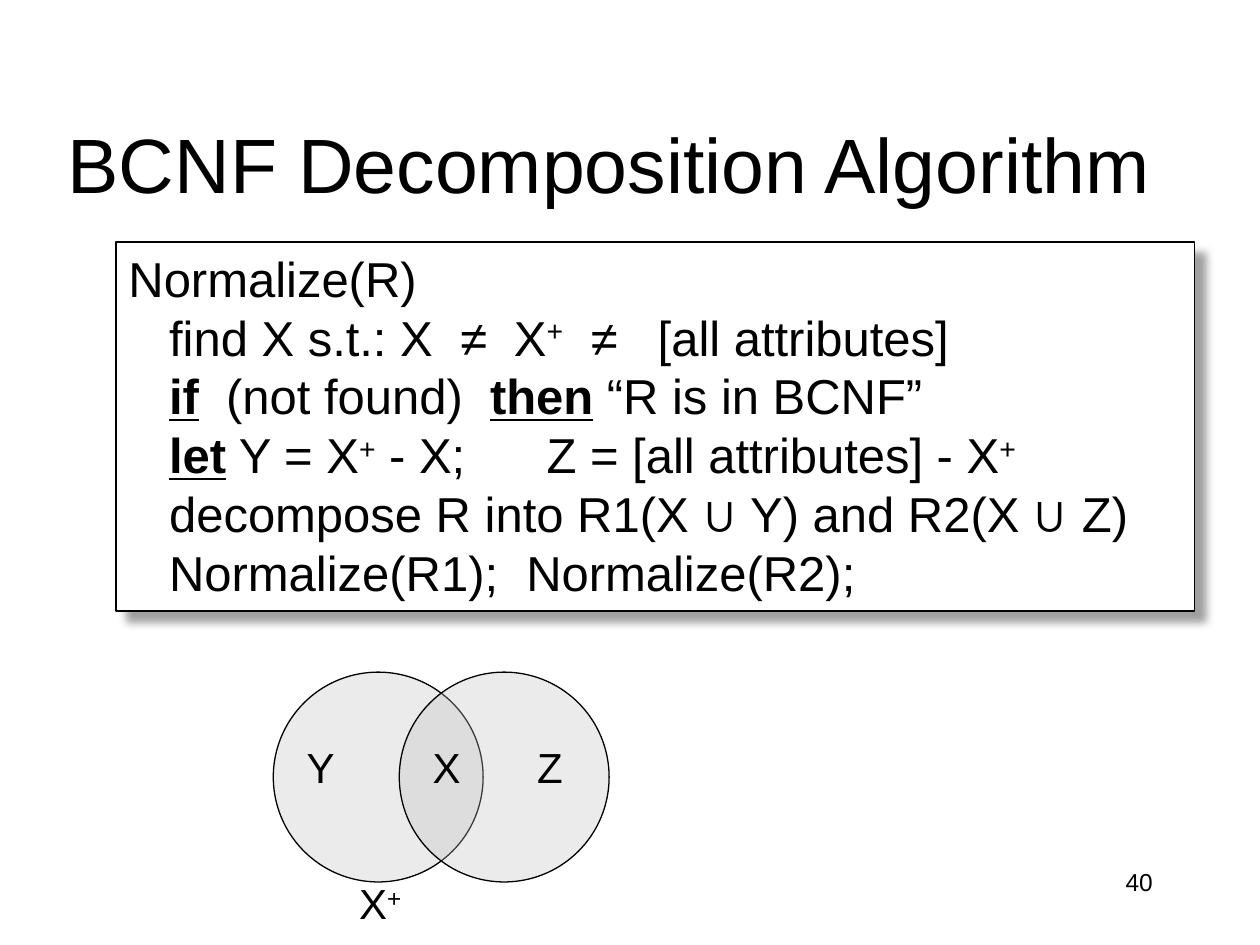
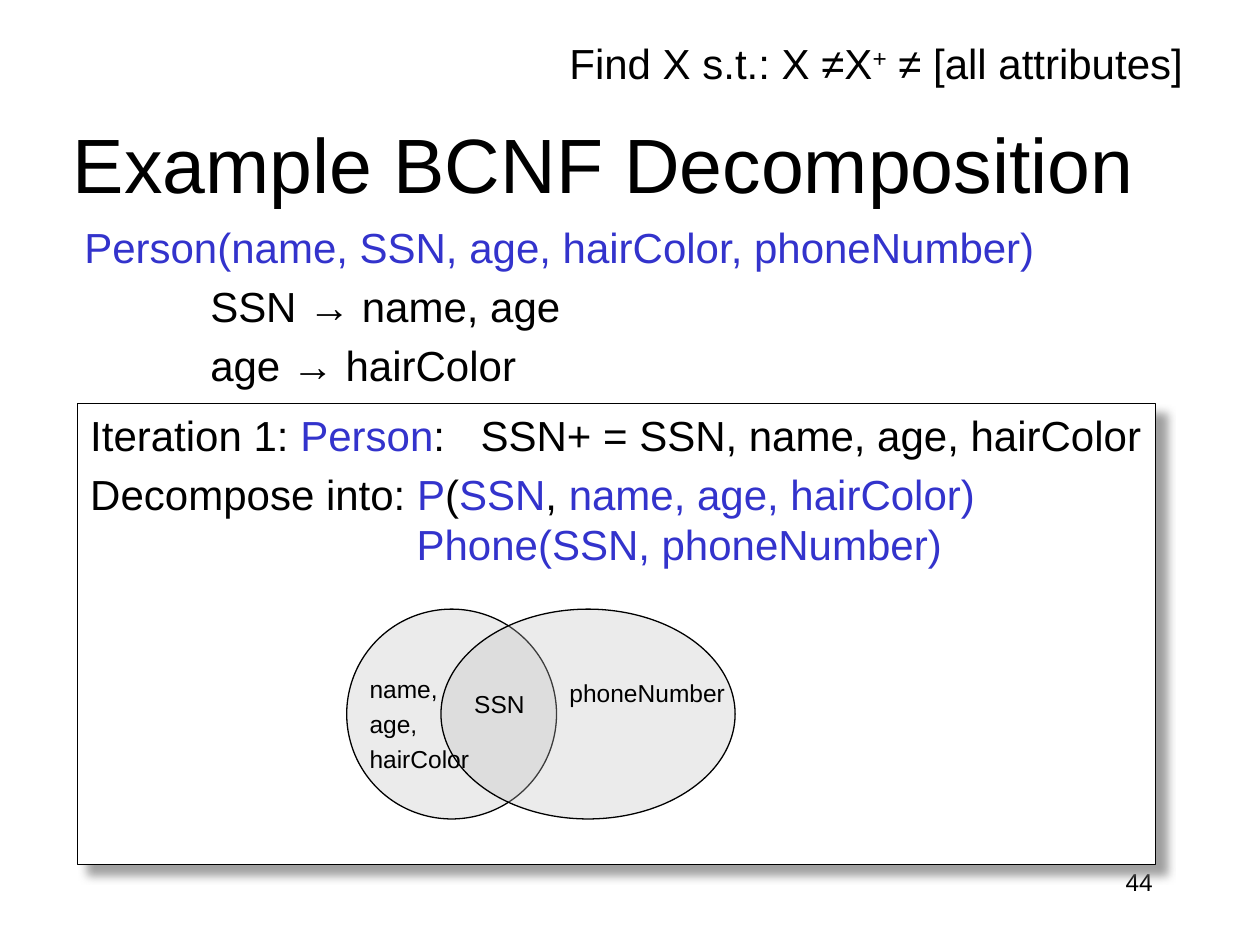
from dataclasses import dataclass
from typing import NamedTuple

import lxml.etree
import pptx
import pptx.dml.color
import pptx.enum.shapes
import pptx.enum.text
import pptx.oxml.ns
import pptx.util

Cm = pptx.util.Cm
Pt = pptx.util.Pt
RGBColor = pptx.dml.color.RGBColor
Align = pptx.enum.text.PP_ALIGN
Anchor = pptx.enum.text.MSO_ANCHOR
ShapeType = pptx.enum.shapes.MSO_SHAPE

# Shared look
BLACK = RGBColor(0x00, 0x00, 0x00)
WHITE = RGBColor(0xFF, 0xFF, 0xFF)
SILVER = RGBColor(0xC0, 0xC0, 0xC0)
SHADOW_GREY = RGBColor(0x80, 0x80, 0x80)
BLUE = RGBColor(0x33, 0x33, 0xCC)
FONT = "Arial"
TITLE_SIZE, CODE_SIZE, BODY_SIZE, SMALL_SIZE = 44, 28, 24, 14
PARAGRAPH_GAP = Pt(4.8)
CIRCLE = 4.23

KEYWORD = {"bold": True, "underline": True}
RELATION = {"color": BLUE}
SUPERSCRIPT = {"baseline": 30000}


class Run(NamedTuple):
    text: str
    format: dict = {}


@dataclass
class Line:
    runs: list[Run]
    tabs: tuple[float, ...] = ()
    gap: int = 0


class Box(NamedTuple):
    """Left, top, width and height in centimetres."""
    left: float
    top: float
    width: float
    height: float

    def lengths(self) -> list[int]:
        return [Cm(value) for value in self]


@dataclass
class Label:
    box: Box
    lines: list[Line]
    size: int = BODY_SIZE
    align: Align = Align.LEFT
    anchor: Anchor = Anchor.TOP
    wrap: bool = False
    spacing: float = 1.0


PLUS = Run("+", SUPERSCRIPT)
PAGE_NUMBER_BOX = Box(18.2, 17.35, 5.29, 1.27)


def plain(text: str) -> list[Line]:
    return [Line([Run(part)]) for part in text.split("\n")]


def add_element(parent, tag: str, **attributes):
    element = lxml.etree.SubElement(parent, pptx.oxml.ns.qn(tag))
    for name, value in attributes.items():
        element.set(name, str(value))
    return element


def write_run(paragraph, run: Run, size: int) -> None:
    text_run = paragraph.add_run()
    text_run.text = run.text
    values = {"name": FONT, "size": Pt(size), "color": BLACK} | run.format
    for name, value in values.items():
        if name == "color":
            text_run.font.color.rgb = value
        elif name == "baseline":
            text_run._r.get_or_add_rPr().set("baseline", str(value))
        else:
            setattr(text_run.font, name, value)


def write_lines(frame, label: Label) -> None:
    for name, value in {"word_wrap": label.wrap, "vertical_anchor": label.anchor}.items():
        setattr(frame, name, value)
    for index, line in enumerate(label.lines):
        paragraph = frame.add_paragraph() if index else frame.paragraphs[0]
        if line.tabs:
            tab_list = add_element(paragraph._p.get_or_add_pPr(), "a:tabLst")
            for position in line.tabs:
                add_element(tab_list, "a:tab", pos=int(Cm(position)), algn="l")
        values = {"alignment": label.align, "space_before": line.gap,
                  "line_spacing": label.spacing}
        for name, value in values.items():
            setattr(paragraph, name, value)
        for run in line.runs:
            write_run(paragraph, run, label.size)


def add_label(slide, label: Label) -> None:
    write_lines(slide.shapes.add_textbox(*label.box.lengths()).text_frame, label)


def add_outlined(slide, kind: ShapeType, box: Box, fill: RGBColor):
    shape = slide.shapes.add_shape(kind, *box.lengths())
    shape.shadow.inherit = False
    shape.fill.solid()
    shape.fill.fore_color.rgb = fill
    shape.line.color.rgb = BLACK
    shape.line.width = Pt(0.75)
    return shape


def add_panel(slide, label: Label) -> None:
    """White text panel with a soft shadow to the lower right."""
    shape = add_outlined(slide, ShapeType.RECTANGLE, label.box, WHITE)
    effects = shape._element.spPr.find(pptx.oxml.ns.qn("a:effectLst"))
    shadow = add_element(effects, "a:outerShdw", blurRad=int(Pt(5)), dist=int(Pt(8.5)),
                         dir=45 * 60000, algn="ctr", rotWithShape=0)
    color = add_element(shadow, "a:srgbClr", val=SHADOW_GREY)
    add_element(color, "a:alpha", val=75000)
    shape.text_frame.margin_right = 0
    write_lines(shape.text_frame, label)


def add_venn(slide, ellipses: list[Box], labels: list[Label]) -> None:
    for box in ellipses:
        shape = add_outlined(slide, ShapeType.OVAL, box, SILVER)
        color = shape._element.spPr.find(".//" + pptx.oxml.ns.qn("a:srgbClr"))
        add_element(color, "a:alpha", val=31000)
    for label in labels:
        add_label(slide, label)


def add_slide(presentation, title: str, title_box: Box, number: int):
    slide = presentation.slides.add_slide(presentation.slide_layouts[6])
    add_label(slide, Label(PAGE_NUMBER_BOX, plain(str(number)), SMALL_SIZE,
                           Align.RIGHT, wrap=True))
    add_label(slide, Label(title_box, plain(title), TITLE_SIZE, Align.CENTER, Anchor.MIDDLE))
    return slide


def build_algorithm(presentation) -> None:
    slide = add_slide(presentation, "BCNF Decomposition Algorithm",
                      Box(1.07, 1.7, 22.43, 3.18), 40)
    indent = 0.82
    code = [
        Line([Run("Normalize(R)")]),
        Line([Run("\tfind X s.t.: X\t≠\tX"), PLUS, Run("\t≠\t[all attributes]")],
             (indent, 6.69, 7.77, 9.32, 10.67)),
        Line([Run("\t"), Run("if", KEYWORD), Run("\t(not found)\t"), Run("then", KEYWORD),
              Run(" “R is in BCNF”")], (indent, 1.97, 7.29)),
        Line([Run("\t"), Run("let", KEYWORD), Run(" Y = X"), PLUS,
              Run(" - X;\tZ = [all attributes] - X"), PLUS], (indent, 8.43)),
        Line([Run("\tdecompose R into R1(X ∪ Y) and R2(X ∪ Z)")], (indent,)),
        Line([Run("\tNormalize(R1);\tNormalize(R2);")], (indent, 8.02)),
    ]
    add_panel(slide, Label(Box(2.34, 4.88, 21.74, 7.44), code, CODE_SIZE, wrap=True))

    # Two overlapping attribute sets
    circles = [Box(left, 13.55, CIRCLE, CIRCLE) for left in (5.51, 8.05)]
    labels = [Label(Box(left, 14.82, 1.09, 1.27), plain(name))
              for name, left in (("Y", 5.93), ("X", 8.47), ("Z", 10.58))]
    labels.append(Label(Box(6.99, 17.57, 1.42, 1.27), [Line([Run("X"), PLUS])]))
    add_venn(slide, circles, labels)


def build_example(presentation) -> None:
    slide = add_slide(presentation, "Example BCNF Decomposition",
                      Box(0.85, 1.7, 22.65, 3.18), 44)

    # Relation, its dependencies and the search rule
    relation = [Line([Run("Person(name, SSN, age, hairColor, phoneNumber)", RELATION)])]
    relation += [Line([Run("\t" + dependency)], (2.54,), PARAGRAPH_GAP)
                 for dependency in ("SSN → name, age", "age → hairColor")]
    add_label(slide, Label(Box(1.45, 4.34, 19.86, 3.73), relation, wrap=True))
    rule = [Line([Run("Find X s.t.: X ≠X"), PLUS, Run(" ≠ [all attributes]")])]
    add_label(slide, Label(Box(11.23, 0.64, 13.06, 1.27), rule))

    # First iteration
    iteration = [
        Line([Run("Iteration 1: "), Run("Person", RELATION),
              Run(":\tSSN+ = SSN, name, age, hairColor")], (7.87,)),
        Line([Run("Decompose into: "), Run("P", RELATION), Run("("), Run("SSN", RELATION),
              Run(", "), Run("name, age, hairColor)", RELATION)], gap=PARAGRAPH_GAP),
        Line([Run("\tPhone(SSN, phoneNumber)", RELATION)], (6.58,)),
    ]
    add_panel(slide, Label(Box(1.57, 8.13, 21.72, 9.3), iteration, wrap=True))

    ellipses = [Box(6.99, 12.28, CIRCLE, CIRCLE), Box(8.89, 12.28, 5.93, CIRCLE)]
    labels = [
        Label(Box(9.31, 13.76, 1.55, 0.86), plain("SSN"), SMALL_SIZE),
        Label(Box(7.2, 13.34, 2.54, 2.39), plain("name,\nage,\nhairColor"), SMALL_SIZE,
              spacing=1.2),
        Label(Box(11.23, 13.55, 3.68, 0.86), plain("phoneNumber"), SMALL_SIZE),
    ]
    add_venn(slide, ellipses, labels)


def main() -> None:
    presentation = pptx.Presentation()
    presentation.slide_width, presentation.slide_height = Cm(25.4), Cm(19.05)
    build_algorithm(presentation)
    build_example(presentation)
    presentation.save("out.pptx")


if __name__ == "__main__":
    main()
